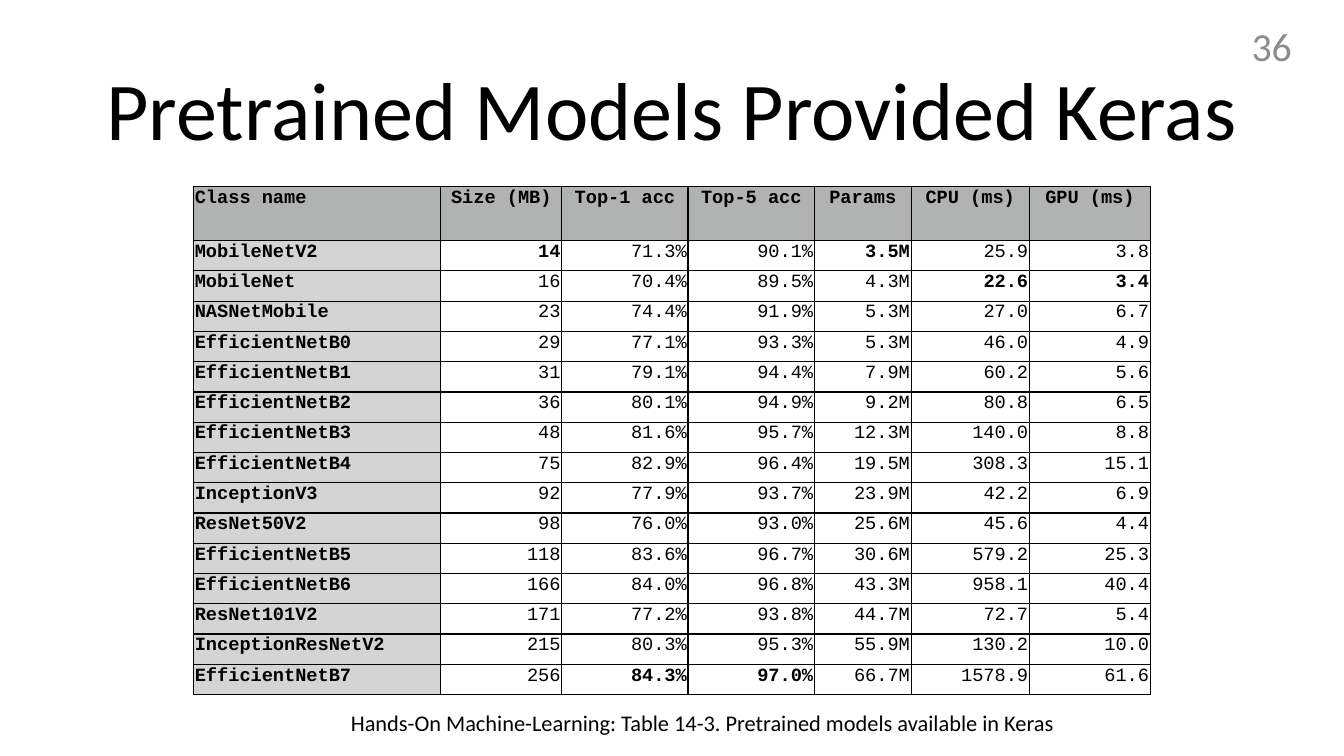
"""Build a slide with a table of the pretrained models available in Keras."""
import pptx
import pptx.dml.color
import pptx.enum.text
import pptx.oxml
import pptx.oxml.ns
import pptx.util

Inches = pptx.util.Inches
ALIGN = pptx.enum.text.PP_ALIGN
MIDDLE = pptx.enum.text.MSO_ANCHOR.MIDDLE


def rgb(value):
    """Return the colour of a hex string."""
    return pptx.dml.color.RGBColor.from_string(value)


def write(tf, text, size=10, font="Calibri", color="000000", bold=False, align=ALIGN.LEFT):
    """Write one formatted paragraph into a text frame."""
    p = tf.paragraphs[0]
    p.alignment = align
    r = p.add_run()
    r.text = text
    r.font.size = pptx.util.Pt(size)
    r.font.name = font
    r.font.bold = bold
    r.font.color.rgb = rgb(color)
    return p


prs = pptx.Presentation()
prs.slide_width = Inches(10)
prs.slide_height = prs.slide_width * 9 // 16
s = prs.slides.add_slide(prs.slide_layouts[5])

title = s.shapes.title
title.left, title.top, title.width, title.height = map(Inches, (0.69, 0.3, 8.62, 1.09))
tf = title.text_frame
tf.word_wrap = True
tf.auto_size = pptx.enum.text.MSO_AUTO_SIZE.NONE
tf.vertical_anchor = MIDDLE
tf.margin_right = Inches(0.05)
write(tf, "Pretrained Models Provided Keras", size=44).line_spacing = 0.9

headers = ["Class name", "Size (MB)", "Top-1 acc", "Top-5 acc", "Params", "CPU (ms)", "GPU (ms)"]
models = [
    ["MobileNetV2", "14", "71.3%", "90.1%", "3.5M", "25.9", "3.8"],
    ["MobileNet", "16", "70.4%", "89.5%", "4.3M", "22.6", "3.4"],
    ["NASNetMobile", "23", "74.4%", "91.9%", "5.3M", "27.0", "6.7"],
    ["EfficientNetB0", "29", "77.1%", "93.3%", "5.3M", "46.0", "4.9"],
    ["EfficientNetB1", "31", "79.1%", "94.4%", "7.9M", "60.2", "5.6"],
    ["EfficientNetB2", "36", "80.1%", "94.9%", "9.2M", "80.8", "6.5"],
    ["EfficientNetB3", "48", "81.6%", "95.7%", "12.3M", "140.0", "8.8"],
    ["EfficientNetB4", "75", "82.9%", "96.4%", "19.5M", "308.3", "15.1"],
    ["InceptionV3", "92", "77.9%", "93.7%", "23.9M", "42.2", "6.9"],
    ["ResNet50V2", "98", "76.0%", "93.0%", "25.6M", "45.6", "4.4"],
    ["EfficientNetB5", "118", "83.6%", "96.7%", "30.6M", "579.2", "25.3"],
    ["EfficientNetB6", "166", "84.0%", "96.8%", "43.3M", "958.1", "40.4"],
    ["ResNet101V2", "171", "77.2%", "93.8%", "44.7M", "72.7", "5.4"],
    ["InceptionResNetV2", "215", "80.3%", "95.3%", "55.9M", "130.2", "10.0"],
    ["EfficientNetB7", "256", "84.3%", "97.0%", "66.7M", "1578.9", "61.6"],
]
best = {"14", "3.5M", "22.6", "3.4", "84.3%", "97.0%"}
col_widths = [1.84, 0.9, 0.94, 0.94, 0.72, 0.88, 0.9]
table_height, header_height = 3.78, 0.4

table = s.shapes.add_table(len(models) + 1, len(headers), Inches(1.44), Inches(1.39),
                           Inches(7.13), Inches(table_height)).table
table.first_row = table.horz_banding = False
for col, width in zip(table.columns, col_widths):
    col.width = Inches(width)
for row in table.rows:
    row.height = Inches((table_height - header_height) / len(models))
table.rows[0].height = Inches(header_height)

for i, values in enumerate([headers] + models):
    for j, value in enumerate(values):
        cell = table.cell(i, j)
        cell.margin_left = cell.margin_right = Inches(0.01)
        cell.margin_top = cell.margin_bottom = Inches(0.01)
        tc_pr = cell._tc.get_or_add_tcPr()
        for side in "LRTB":
            tc_pr.append(pptx.oxml.parse_xml(
                f'<a:ln{side} {pptx.oxml.ns.nsdecls("a")} w="9525"><a:solidFill>'
                f'<a:srgbClr val="000000"/></a:solidFill></a:ln{side}>'))
        if i == 0 or j == 0:
            cell.fill.solid()
            cell.fill.fore_color.rgb = rgb("B0B3B2" if i == 0 else "D4D4D4")
        else:
            cell.fill.background()
        align = ALIGN.LEFT if j == 0 else ALIGN.CENTER if i == 0 else ALIGN.RIGHT
        write(cell.text_frame, value, font="Courier New", align=align,
              bold=i == 0 or j == 0 or value in best)

caption = "Hands-On Machine-Learning: Table 14-3. Pretrained models available in Keras"
labels = [
    (caption, (2, 5.23, 6.46, 0.3), dict(size=12, align=ALIGN.CENTER)),
    ("36", (7.46, 0.19, 2.25, 0.3), dict(size=21.3, color="8C8C8C", align=ALIGN.RIGHT)),
]
for text, box, style in labels:
    tf = s.shapes.add_textbox(*map(Inches, box)).text_frame
    tf.word_wrap = True
    tf.vertical_anchor = MIDDLE
    write(tf, text, **style)

prs.save("out.pptx")
